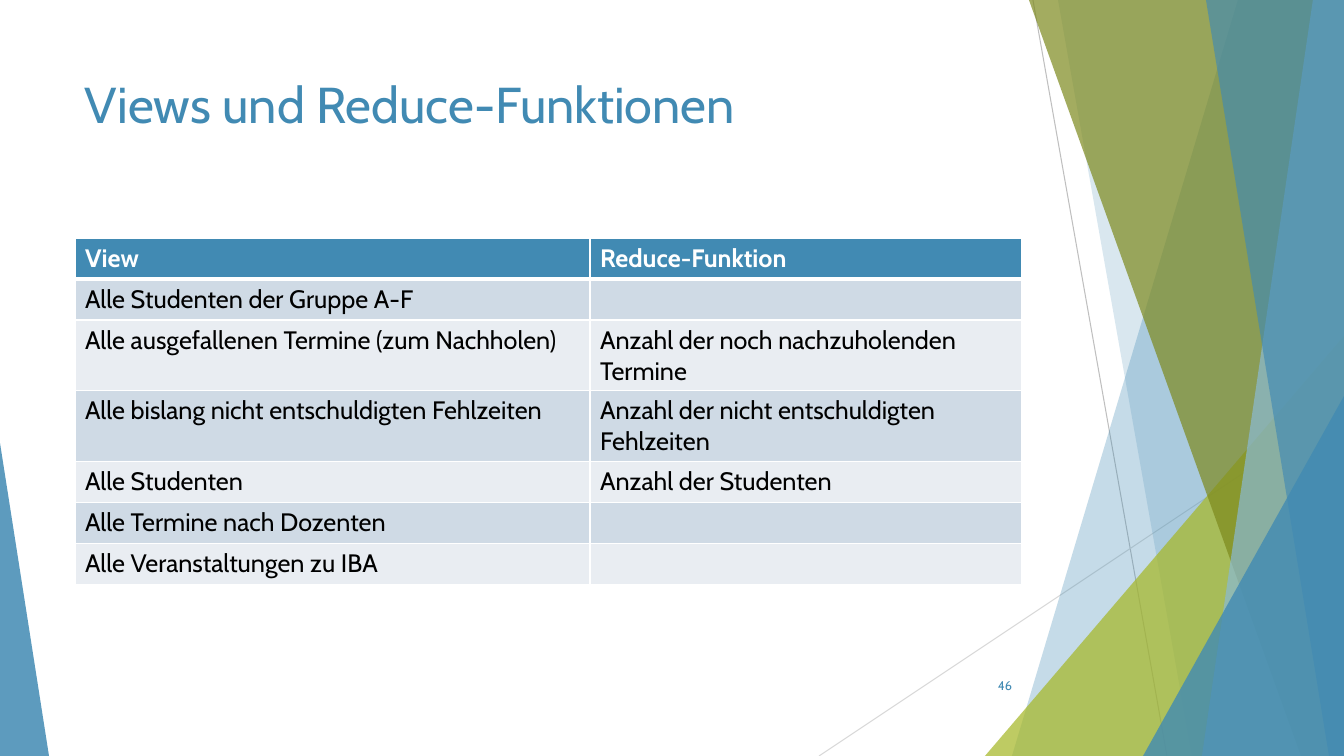
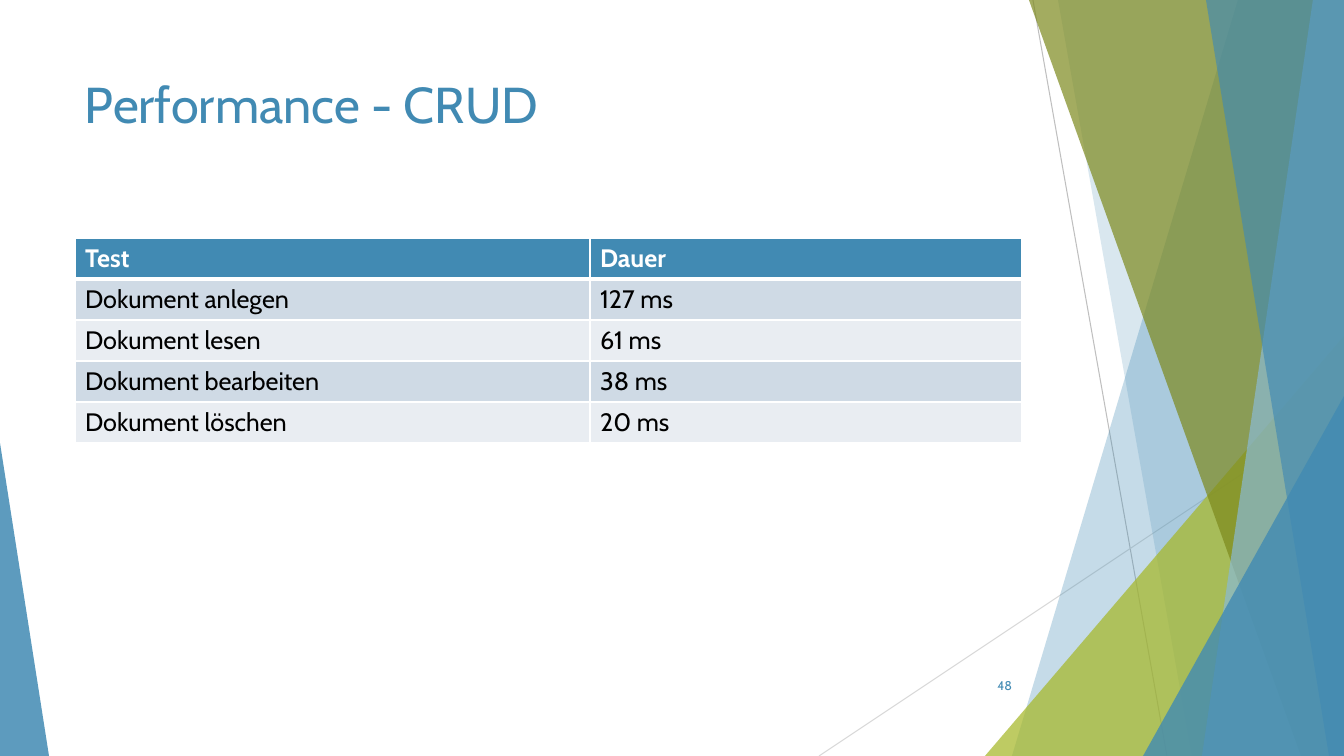
from dataclasses import dataclass

from lxml.etree import SubElement
from pptx import Presentation
from pptx.dml.color import RGBColor
from pptx.enum.shapes import MSO_CONNECTOR, MSO_SHAPE
from pptx.enum.text import MSO_ANCHOR, PP_ALIGN
from pptx.oxml.ns import qn
from pptx.util import Emu, Pt

# Content
SLIDES = [
    {
        "title": "Views und Reduce-Funktionen",
        "number": "46",
        "rows": [
            ("View", "Reduce-Funktion"),
            ("Alle Studenten der Gruppe A-F", ""),
            ("Alle ausgefallenen Termine (zum Nachholen)",
             "Anzahl der noch nachzuholenden Termine"),
            ("Alle bislang nicht entschuldigten Fehlzeiten",
             "Anzahl der nicht entschuldigten Fehlzeiten"),
            ("Alle Studenten", "Anzahl der Studenten"),
            ("Alle Termine nach Dozenten", ""),
            ("Alle Veranstaltungen zu IBA", ""),
        ],
    },
    {
        "title": "Performance - CRUD",
        "number": "48",
        "rows": [
            ("Test", "Dauer"),
            ("Dokument anlegen", "127 ms"),
            ("Dokument lesen", "61 ms"),
            ("Dokument bearbeiten", "38 ms"),
            ("Dokument löschen", "20 ms"),
        ],
    },
]


@dataclass(frozen=True)
class Theme:
    font: str = "Cabin"
    blue: str = "418AB3"
    light_blue: str = "8ABAD4"
    lime: str = "A6B727"
    olive: str = "7D891D"
    white: str = "FFFFFF"
    black: str = "000000"
    bands: tuple = ("CFDAE5", "E9EDF2")
    title_size: int = 36
    table_size: int = 18
    number_size: int = 9
    hairline: float = 0.75
    cell_line: int = 1
    header_line: int = 3


THEME = Theme()

# Geometry in px
SLIDE_W, SLIDE_H = 1344, 756
SCALE = 12192000 / SLIDE_W
TITLE_BOX = (75, 68, 947, 145)
NUMBER_BOX = (947, 666, 75, 40)
TABLE_LEFT, TABLE_TOP = 75, 238
COLUMN_WIDTHS = (515, 432)
ROW_HEIGHT = 41

# Background, back to front
RAYS = [  # start, end, colour
    ((1033, 0), (1167, SLIDE_H), "BFBFBF"),
    ((SLIDE_W, 406), (819, SLIDE_H), "D9D9D9"),
]
FACETS = [  # bands: left edge at top and bottom; triangles: box and apex
    {"edge": (1238, 1012), "color": THEME.blue, "alpha": 30},
    {"edge": (1058, 1192), "color": THEME.blue, "alpha": 20},
    {"box": (985, 336, 359, 420), "apex": 1, "color": THEME.lime, "alpha": 72},
    {"edge": (1029, 1301), "color": THEME.olive, "alpha": 70},
    {"edge": (1313, 1202), "color": THEME.light_blue, "alpha": 70},
    {"edge": (1206, 1329), "color": THEME.blue, "alpha": 65},
    {"box": (1143, 396, 201, 360), "apex": 1, "color": THEME.blue, "alpha": 80},
    {"box": (0, 443, 49, 313), "apex": 0, "color": THEME.blue, "alpha": 85},
]


def px(length):
    return Emu(round(length * SCALE))


def rgb(color):
    return RGBColor.from_string(color)


def write(frame, text, *, size, color, bold=False, align=PP_ALIGN.LEFT,
          anchor=MSO_ANCHOR.TOP):
    frame.word_wrap = True
    frame.vertical_anchor = anchor
    paragraph = frame.paragraphs[0]
    paragraph.alignment = align
    run = paragraph.add_run()
    run.text = text
    run.font.name = THEME.font
    run.font.size = Pt(size)
    run.font.bold = bold
    run.font.color.rgb = rgb(color)


def add_text(slide, box, text, **style):
    frame = slide.shapes.add_textbox(*map(px, box)).text_frame
    write(frame, text, **style)


def add_ray(slide, start, end, color):
    ray = slide.shapes.add_connector(
        MSO_CONNECTOR.STRAIGHT, *map(px, start + end))
    ray.line.color.rgb = rgb(color)
    ray.line.width = Pt(THEME.hairline)
    SubElement(ray.element.spPr, qn("a:effectLst"))


def add_facet(slide, color, alpha, edge=None, box=None, apex=0):
    if edge:
        top, bottom = edge
        outline = slide.shapes.build_freeform(top, 0, scale=SCALE)
        outline.add_line_segments(
            [(SLIDE_W, 0), (SLIDE_W, SLIDE_H), (bottom, SLIDE_H)], close=True)
        facet = outline.convert_to_shape()
    else:
        facet = slide.shapes.add_shape(
            MSO_SHAPE.ISOSCELES_TRIANGLE, *map(px, box))
        facet.adjustments[0] = apex
    facet.shadow.inherit = False
    facet.line.fill.background()
    facet.fill.solid()
    facet.fill.fore_color.rgb = rgb(color)
    tint = facet.element.spPr.find(qn("a:solidFill"))[0]
    SubElement(tint, qn("a:alpha"), val=str(alpha * 1000))


def set_borders(cell, row):
    widths = {"L": THEME.cell_line, "R": THEME.cell_line,
              "T": THEME.header_line if row == 1 else THEME.cell_line,
              "B": THEME.header_line if row == 0 else THEME.cell_line}
    properties = cell._tc.get_or_add_tcPr()
    for side, width in widths.items():
        border = SubElement(properties, qn(f"a:ln{side}"), w=str(Pt(width)))
        fill = SubElement(border, qn("a:solidFill"))
        SubElement(fill, qn("a:srgbClr"), val=THEME.white)


def add_rows(slide, rows):
    table = slide.shapes.add_table(
        len(rows), len(COLUMN_WIDTHS), px(TABLE_LEFT), px(TABLE_TOP),
        px(sum(COLUMN_WIDTHS)), px(ROW_HEIGHT * len(rows))).table
    table.horz_banding = False
    for column, width in zip(table.columns, COLUMN_WIDTHS):
        column.width = px(width)
    for r, texts in enumerate(rows):
        header = r == 0
        table.rows[r].height = px(ROW_HEIGHT)
        for c, text in enumerate(texts):
            cell = table.cell(r, c)
            set_borders(cell, r)
            cell.fill.solid()
            cell.fill.fore_color.rgb = rgb(
                THEME.blue if header else THEME.bands[(r - 1) % 2])
            if text:
                write(cell.text_frame, text, size=THEME.table_size, bold=header,
                      color=THEME.white if header else THEME.black)


def add_background(slide):
    for ray in RAYS:
        add_ray(slide, *ray)
    for facet in FACETS:
        add_facet(slide, **facet)


def main():
    deck = Presentation()
    deck.slide_width, deck.slide_height = px(SLIDE_W), px(SLIDE_H)
    for content in SLIDES:
        slide = deck.slides.add_slide(deck.slide_layouts[6])
        add_background(slide)
        add_text(slide, TITLE_BOX, content["title"],
                 size=THEME.title_size, color=THEME.blue)
        add_rows(slide, content["rows"])
        add_text(slide, NUMBER_BOX, content["number"], size=THEME.number_size,
                 color=THEME.blue, align=PP_ALIGN.RIGHT,
                 anchor=MSO_ANCHOR.MIDDLE)
    deck.save("out.pptx")


if __name__ == "__main__":
    main()
